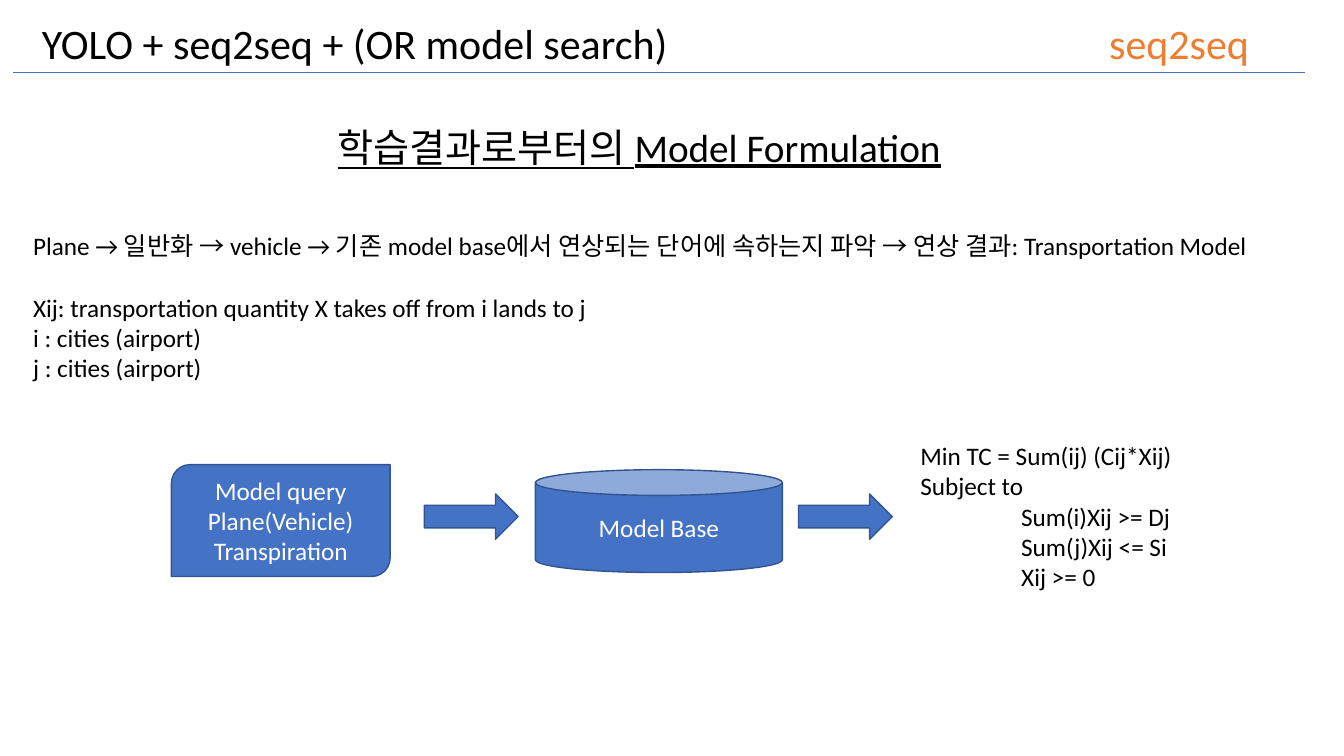
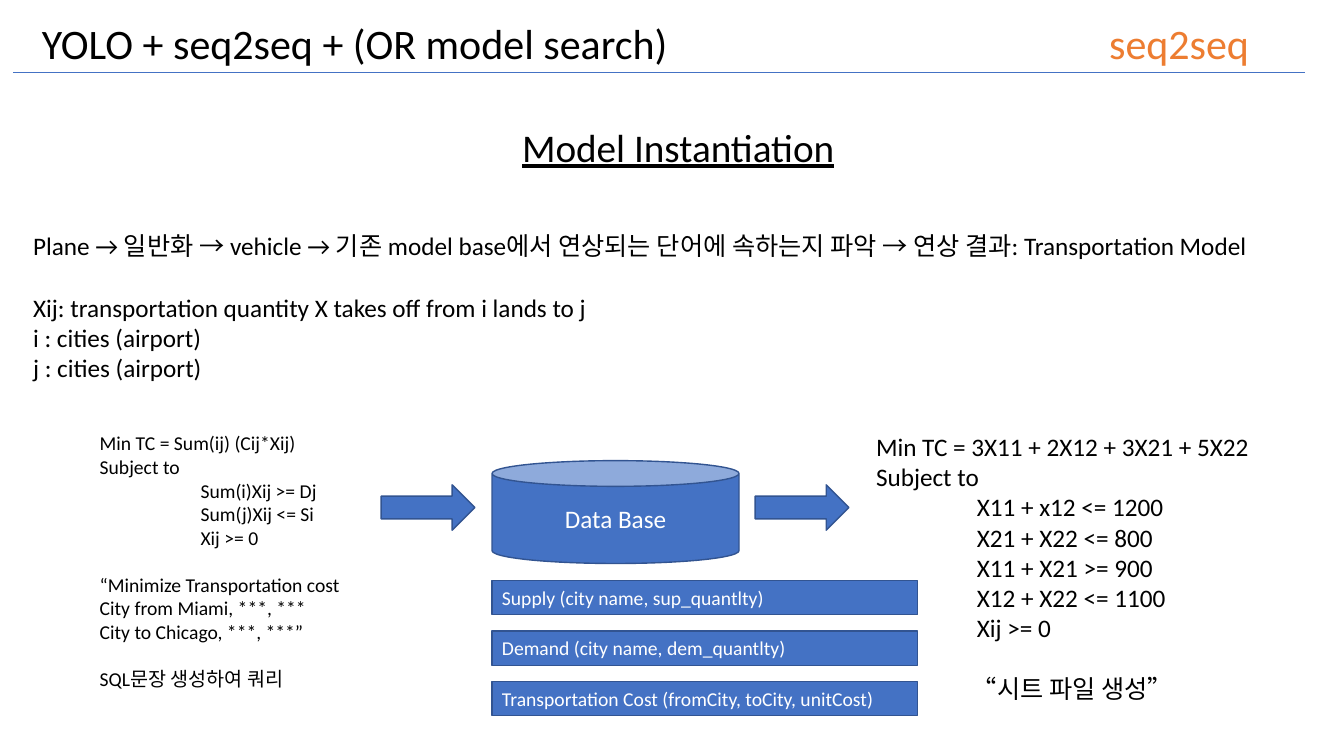
from lxml import etree
from pptx import Presentation
from pptx.dml.color import RGBColor as RGB
from pptx.enum.shapes import MSO_CONNECTOR as LINK, MSO_SHAPE as SHAPE
from pptx.enum.text import MSO_ANCHOR as ANCHOR, MSO_AUTO_SIZE as AUTO, PP_ALIGN as ALIGN
from pptx.oxml.ns import qn
from pptx.util import Inches, Pt

BLACK = RGB(0, 0, 0)
WHITE = RGB(255, 255, 255)
BLUE = RGB(0x44, 0x72, 0xC4)
NAVY = RGB(0x32, 0x54, 0x91)
ORANGE = RGB(0xED, 0x7D, 0x31)
FONT = "Calibri"
LEADING = 1.22

STEPS = [
    ("Plane → 일반화 → vehicle → 기존 model base에서 연상되는 단어에 속하는지 파악"
     " → 연상 결과: Transportation Model", 0, False),
    ("Xij: transportation quantity X takes off from i lands to j", 0, True),
    ("i : cities (airport)", 0, False),
    ("j : cities (airport)", 0, False),
]
GENERAL = [
    ("Min TC = Sum(ij) (Cij*Xij)", 0, False),
    ("Subject to", 0, False),
    ("Sum(i)Xij >= Dj", 1, False),
    ("Sum(j)Xij <= Si", 1, False),
    ("Xij >= 0", 1, False),
]
QUERY = [
    ("“Minimize Transportation cost", 0, True),
    ("City from Miami, ***, ***", 0, False),
    ("City to Chicago, ***, ***”", 0, False),
    ("SQL문장 생성하여 쿼리", 0, True),
]
SOLVED = [
    ("Min TC = 3X11 + 2X12 + 3X21 + 5X22", 0, False),
    ("Subject to", 0, False),
    ("X11 + x12 <= 1200", 1, False),
    ("X21 + X22 <= 800", 1, False),
    ("X11 + X21 >= 900", 1, False),
    ("X12 + X22 <= 1100", 1, False),
    ("Xij >= 0", 1, False),
    ("“시트 파일 생성”", 0.95, True),
]
TABLES = [
    "Supply (city name, sup_quantlty)",
    "Demand (city name, dem_quantlty)",
    "Transportation Cost (fromCity, toCity, unitCost)",
]


def write(frame, lines, size, color, align=ALIGN.LEFT, underline=None):
    """Fill a frame with (text, indent, gap) lines."""
    look = {"name": FONT, "size": Pt(size), "underline": underline}
    for index, (text, indent, gap) in enumerate(lines):
        para = frame.add_paragraph() if index else frame.paragraphs[0]
        para.alignment = align
        if indent:
            para._p.get_or_add_pPr().set("marL", str(Inches(indent)))
        if gap:
            para.space_before = Pt(round(size * LEADING))
        run = para.add_run()
        run.text = text
        for key, value in look.items():
            setattr(run.font, key, value)
        run.font.color.rgb = color


def label(slide, box, lines, size=18, color=BLACK, **style):
    """Add a text box."""
    frame = slide.shapes.add_textbox(*map(Inches, box)).text_frame
    for key, value in {"word_wrap": True, "auto_size": AUTO.SHAPE_TO_FIT_TEXT}.items():
        setattr(frame, key, value)
    write(frame, lines, size, color, **style)


def block(slide, kind, box, texts=(), size=18, align=ALIGN.CENTER):
    """Add a blue shape with optional white text."""
    shape = slide.shapes.add_shape(kind, *map(Inches, box))
    shape.shadow.inherit = False
    shape.fill.solid()
    shape.fill.fore_color.rgb = BLUE
    shape.line.color.rgb = NAVY
    shape.line.width = Pt(1)
    shape.text_frame.vertical_anchor = ANCHOR.MIDDLE
    write(shape.text_frame, [(text, 0, False) for text in texts], size, WHITE, align)


def header(slide):
    """Add the title, tag and rule."""
    for left, width, text, color in (
        (0, 7.04, "YOLO + seq2seq + (OR model search)", BLACK),
        (10.45, 2.49, "seq2seq", ORANGE),
    ):
        label(slide, (left, 0.12, width, 0.61), [(text, 0, False)], 30, color, align=ALIGN.CENTER)
    rule = slide.shapes.add_connector(LINK.STRAIGHT, *map(Inches, (0.13, 0.72, 12.94, 0.72)))
    rule.line.color.rgb = BLUE
    rule.line.width = Pt(0.5)
    etree.SubElement(rule._element.spPr, qn("a:effectLst"))


def flow(slide, left, top, name):
    """Add a store with an arrow on either side."""
    block(slide, SHAPE.CAN, (left, top, 2.45, 1.02), [name])
    for shift in (-1.1, 2.61):
        block(slide, SHAPE.RIGHT_ARROW, (left + shift, top + 0.24, 0.93, 0.45))


def tables(slide, left, top):
    """Add the stack of table bars."""
    for row, text in enumerate(TABLES):
        box = (left, top + row * 0.5, 4.22, 0.34)
        block(slide, SHAPE.RECTANGLE, box, [text], 14, ALIGN.LEFT)


def start(deck, left, topic):
    """Add a slide with the shared header, topic and steps."""
    slide = deck.slides.add_slide(deck.slide_layouts[6])
    header(slide)
    label(slide, (left, 1.17, 6.51, 0.57), [(topic, 0, False)], 28, underline=True)
    label(slide, (0.23, 2.24, 12.89, 1.92), STEPS)
    return slide


def formulate(deck):
    """Build the formulation slide."""
    slide = start(deck, 3.25, "학습결과로부터의 Model Formulation")
    label(slide, (9.03, 4.32, 2.72, 1.62), GENERAL)
    query = ["Model query", "Plane(Vehicle)", "Transpiration"]
    block(slide, SHAPE.ROUND_2_DIAG_RECTANGLE, (1.7, 4.61, 2.17, 1.11), query)
    flow(slide, 5.31, 4.66, "Model Base")


def instance(deck):
    """Build the instantiation slide."""
    slide = start(deck, 5.08, "Model Instantiation")
    label(slide, (0.89, 4.23, 2.61, 2.69), GENERAL + QUERY, 14)
    flow(slide, 4.88, 4.57, "Data Base")
    label(slide, (8.59, 4.23, 3.95, 2.83), SOLVED)
    tables(slide, 4.88, 5.76)


def main():
    """Build and save the deck."""
    deck = Presentation()
    deck.slide_width, deck.slide_height = Inches(13.33), Inches(7.5)
    formulate(deck)
    instance(deck)
    deck.save("out.pptx")


if __name__ == "__main__":
    main()
